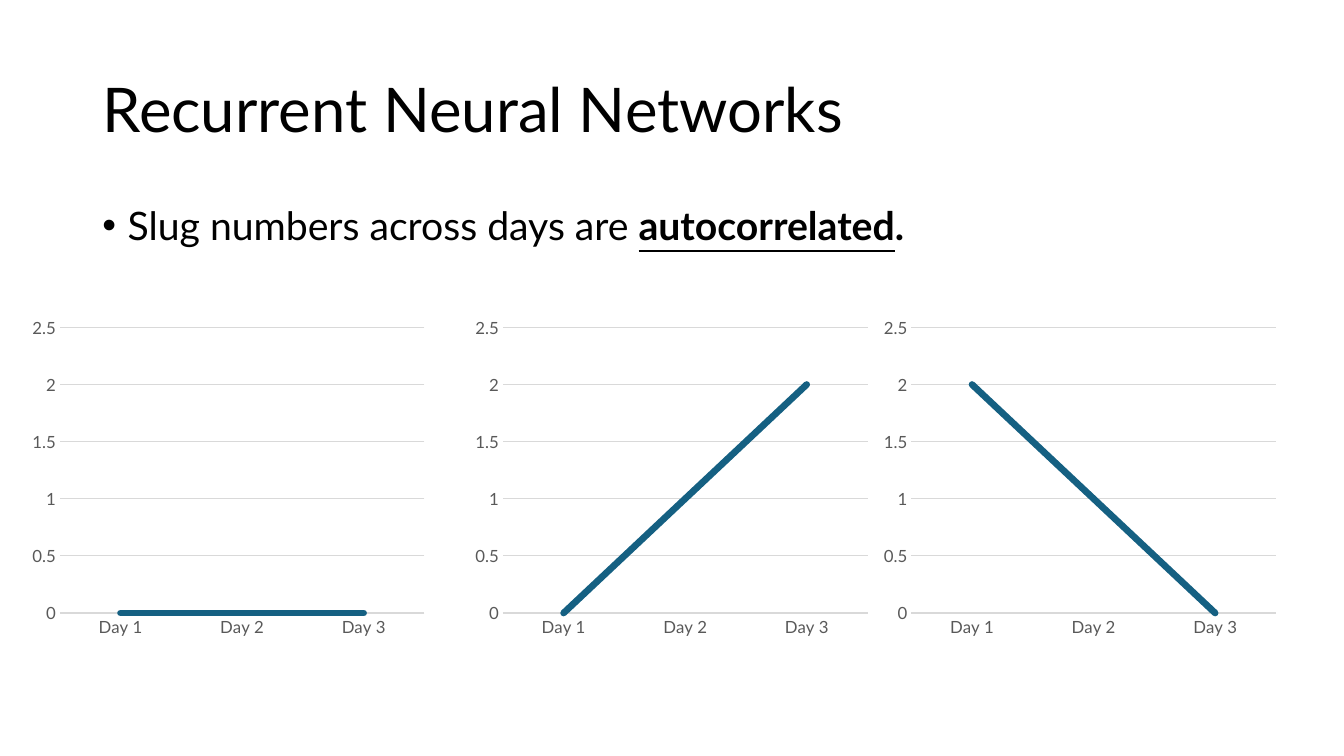
import pptx
import pptx.util
import pptx.chart.data
import pptx.dml.color
import pptx.enum.chart
import pptx.enum.text
from dataclasses import dataclass

TITLE = "Recurrent Neural Networks"
STATEMENT = [
    ("Slug numbers across days are ", False, False),
    ("autocorrelated", True, True),
    (".", True, False),
]
DAYS = ["Day 1", "Day 2", "Day 3"]
SLUG_TRENDS = [
    (23, [0, 0, 0]),
    (445, [0, 1, 2]),
    (834, [2, 1, 0]),
]
SLIDE_SIZE = (1280, 720)
TITLE_BOX = (88, 38, 1104, 139)
STATEMENT_BOX = (88, 192, 1104, 55)
CHART_TOP, CHART_WIDTH, CHART_HEIGHT = 296, 389, 317
BULLET_INDENT = 24


@dataclass(frozen=True)
class Theme:
    font: str = "Lato"
    text: str = "000000"
    label: str = "595959"
    grid: str = "D9D9D9"
    trend: str = "156082"
    title_size: int = 44
    body_size: int = 28
    label_size: int = 12
    grid_width: float = 0.75
    trend_width: float = 4.75


THEME = Theme()


def px(length):
    return pptx.util.Emu(length * 9525)


def style_font(font, size, color):
    font.name = THEME.font
    font.size = pptx.util.Pt(size)
    font.color.rgb = pptx.dml.color.RGBColor.from_string(color)


def style_line(line, width, color):
    line.width = pptx.util.Pt(width)
    line.color.rgb = pptx.dml.color.RGBColor.from_string(color)


def place_text(placeholder, box, runs, size, anchor):
    placeholder.left, placeholder.top, placeholder.width, placeholder.height = map(px, box)
    frame = placeholder.text_frame
    frame.auto_size = pptx.enum.text.MSO_AUTO_SIZE.NONE
    frame.word_wrap = True
    frame.vertical_anchor = anchor
    paragraph = frame.paragraphs[0]
    paragraph.alignment = pptx.enum.text.PP_ALIGN.LEFT
    paragraph.line_spacing = 0.9
    style_font(paragraph.font, size, THEME.text)
    for words, bold, underline in runs:
        run = paragraph.add_run()
        run.text = words
        run.font.bold = bold
        run.font.underline = underline
    return paragraph


def add_trend_chart(slide, left, slug_numbers):
    data = pptx.chart.data.CategoryChartData()
    data.categories = DAYS
    data.add_series("Series 1", slug_numbers)
    box = map(px, (left, CHART_TOP, CHART_WIDTH, CHART_HEIGHT))
    chart = slide.shapes.add_chart(pptx.enum.chart.XL_CHART_TYPE.LINE, *box, data).chart
    chart.has_title = False
    chart.has_legend = False
    style_font(chart.font, THEME.label_size, THEME.label)

    days, numbers = chart.category_axis, chart.value_axis
    for axis in (days, numbers):
        axis.major_tick_mark = pptx.enum.chart.XL_TICK_MARK.NONE
        axis.minor_tick_mark = pptx.enum.chart.XL_TICK_MARK.NONE
        style_font(axis.tick_labels.font, THEME.label_size, THEME.label)
    style_line(days.format.line, THEME.grid_width, THEME.grid)
    numbers.format.line.fill.background()
    numbers.minimum_scale, numbers.maximum_scale, numbers.major_unit = 0, 2.5, 0.5
    style_line(numbers.major_gridlines.format.line, THEME.grid_width, THEME.grid)

    plot = chart.plots[0]
    plot.vary_by_categories = False
    trend = plot.series[0]
    trend.smooth = False
    trend.marker.style = pptx.enum.chart.XL_MARKER_STYLE.NONE
    style_line(trend.format.line, THEME.trend_width, THEME.trend)
    trend.format.line._ln.set("cap", "rnd")


def main():
    deck = pptx.Presentation()
    deck.slide_width, deck.slide_height = map(px, SLIDE_SIZE)
    slide = deck.slides.add_slide(deck.slide_layouts[1])
    title, body = slide.placeholders
    place_text(title, TITLE_BOX, [(TITLE, False, False)], THEME.title_size,
               pptx.enum.text.MSO_ANCHOR.MIDDLE)
    statement = place_text(body, STATEMENT_BOX, STATEMENT, THEME.body_size,
                           pptx.enum.text.MSO_ANCHOR.TOP)
    statement.space_before = pptx.util.Pt(10)
    properties = statement._p.get_or_add_pPr()
    properties.set("marL", str(px(BULLET_INDENT)))
    properties.set("indent", str(px(-BULLET_INDENT)))
    for left, slug_numbers in SLUG_TRENDS:
        add_trend_chart(slide, left, slug_numbers)
    deck.save("out.pptx")


if __name__ == "__main__":
    main()
